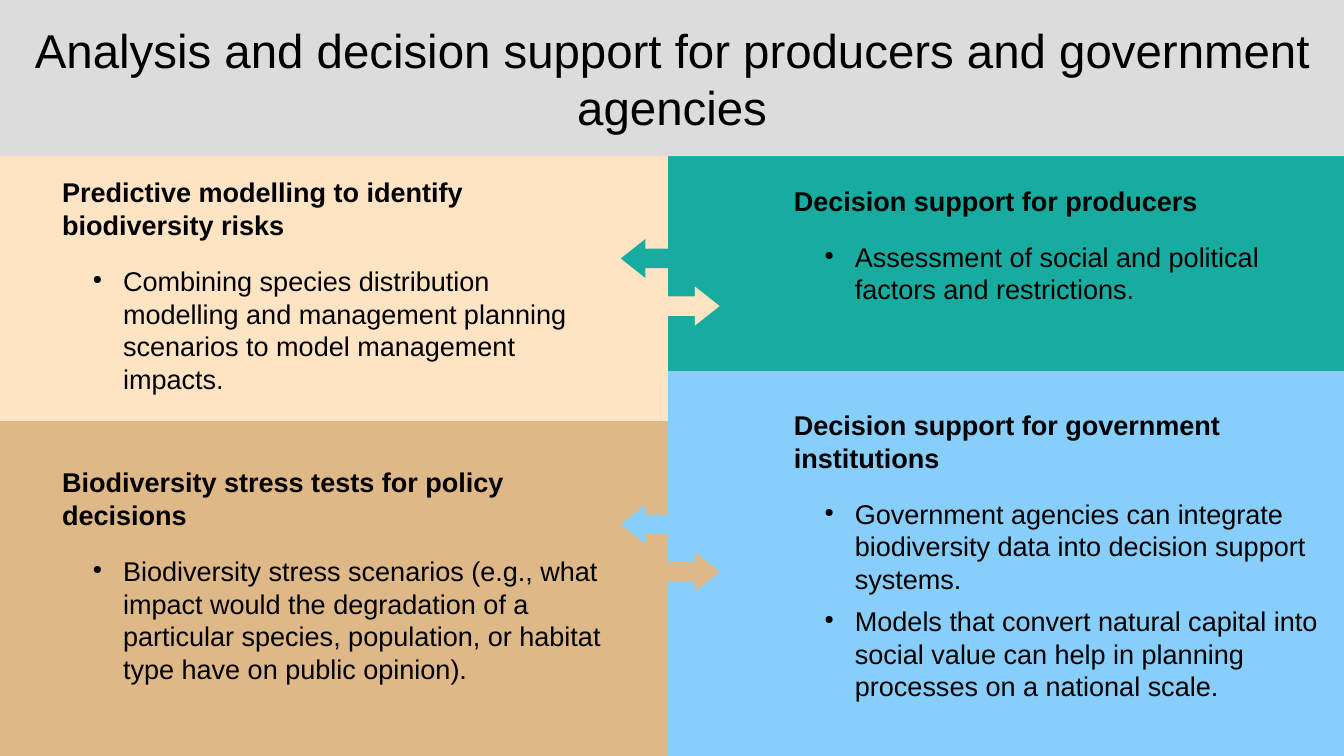
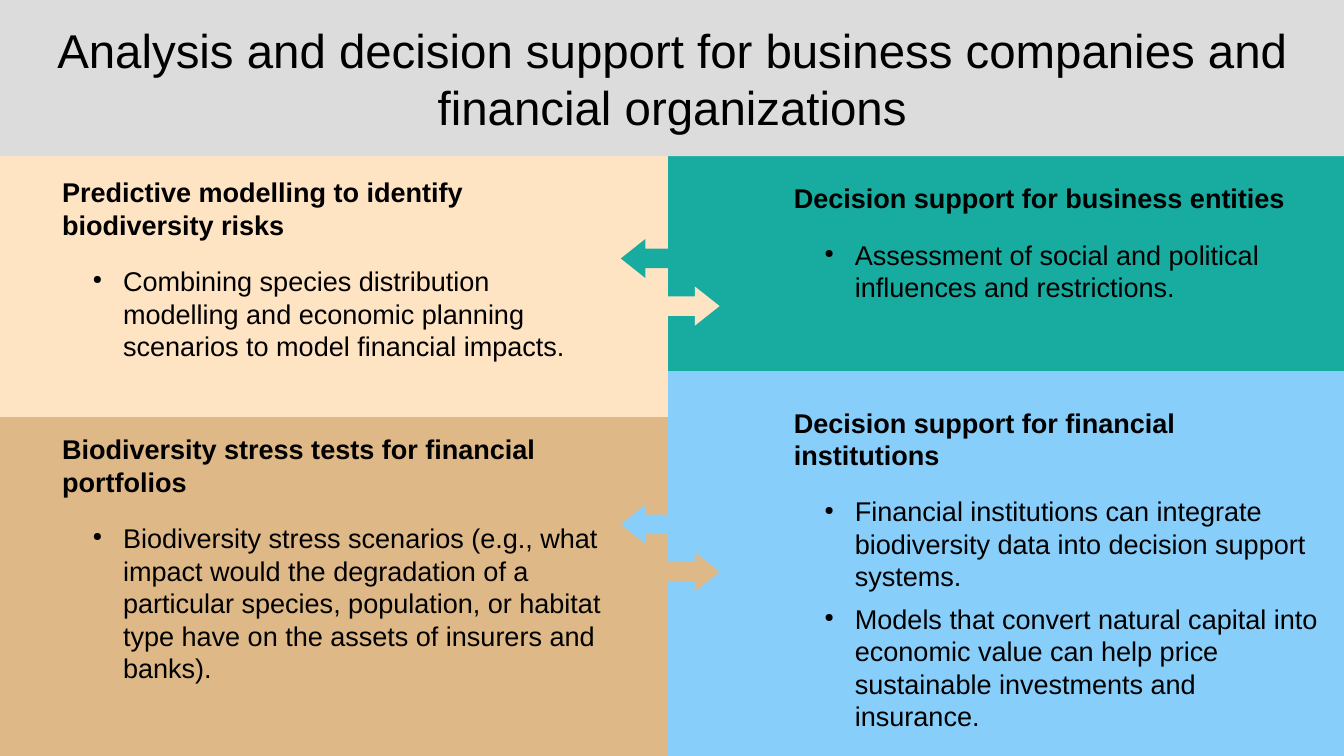
from lxml.etree import SubElement
from pptx import Presentation
from pptx.dml.color import RGBColor
from pptx.enum.shapes import MSO_SHAPE
from pptx.enum.text import MSO_ANCHOR, PP_ALIGN
from pptx.oxml.ns import qn
from pptx.util import Inches, Pt

GREY = RGBColor(0xDC, 0xDC, 0xDC)
BISQUE = RGBColor(0xFF, 0xE4, 0xC4)
TAN = RGBColor(0xDE, 0xB8, 0x87)
TEAL = RGBColor(0x18, 0xAC, 0xA0)
SKY = RGBColor(0x87, 0xCE, 0xFA)
BLACK = RGBColor(0, 0, 0)

FONT = "Arial"
WIDTH, HEIGHT = 11.02, 6.2
BAND = 1.28          # height of the title band
MIDDLE = 5.48        # border between the two columns
RIGHT_SPLIT = 3.04   # border between the right panels
LEFT_TEXT, LEFT_TEXT_WIDTH = 0.51, 4.43
RIGHT_TEXT, RIGHT_TEXT_WIDTH = 6.51, 4.35
ARROW_LEFT, ARROW_WIDTH, ARROW_HEIGHT, ARROW_STEP = 5.09, 0.81, 0.32, 0.39


class Deck:
    def __init__(self):
        self.presentation = Presentation()
        self.presentation.slide_width = Inches(WIDTH)
        self.presentation.slide_height = Inches(HEIGHT)
        self.slide = None

    def new_slide(self):
        blank = self.presentation.slide_layouts[6]
        self.slide = self.presentation.slides.add_slide(blank)

    def block(self, kind, left, top, width, height, color):
        block = self.slide.shapes.add_shape(
            kind, Inches(left), Inches(top), Inches(width), Inches(height))
        block.shadow.inherit = False
        block.fill.solid()
        block.fill.fore_color.rgb = color
        block.line.fill.background()
        return block

    def panel(self, left, top, right, bottom, color):
        self.block(MSO_SHAPE.FLOWCHART_PROCESS, left, top,
                   right - left, bottom - top, color)

    def arrow_pair(self, top, left_color, right_color):
        pair = ((MSO_SHAPE.LEFT_ARROW, left_color),
                (MSO_SHAPE.RIGHT_ARROW, right_color))
        for row, (kind, color) in enumerate(pair):
            arrow = self.block(kind, ARROW_LEFT, top + row * ARROW_STEP,
                               ARROW_WIDTH, ARROW_HEIGHT, color)
            arrow.adjustments[1] = 0.63

    def style(self, paragraph, size, bold=False):
        paragraph.font.name = FONT
        paragraph.font.size = Pt(size)
        paragraph.font.bold = bold
        paragraph.font.color.rgb = BLACK

    def frame(self, shape):
        frame = shape.text_frame
        frame.word_wrap = True
        frame.margin_left = frame.margin_right = 0
        frame.margin_top = frame.margin_bottom = 0
        return frame

    def title(self, text):
        band = self.block(MSO_SHAPE.RECTANGLE, 0, 0, WIDTH, BAND, GREY)
        frame = self.frame(band)
        frame.vertical_anchor = MSO_ANCHOR.MIDDLE
        heading = frame.paragraphs[0]
        heading.text = text
        heading.alignment = PP_ALIGN.CENTER
        self.style(heading, 28)

    def bullet(self, paragraph):
        properties = paragraph._p.get_or_add_pPr()
        properties.set("marL", str(Inches(0.5)))
        properties.set("indent", str(Inches(-0.25)))
        color = SubElement(properties, qn("a:buClr"))
        SubElement(color, qn("a:srgbClr"), val=str(BLACK))
        SubElement(properties, qn("a:buSzPct"), val="45000")
        SubElement(properties, qn("a:buChar"), char="●")

    def topic(self, left, top, width, height, heading, points):
        box = self.slide.shapes.add_textbox(
            Inches(left), Inches(top), Inches(width), Inches(height))
        frame = self.frame(box)
        frame.paragraphs[0].text = heading
        self.style(frame.paragraphs[0], 16, bold=True)
        for number, text in enumerate(points):
            point = frame.add_paragraph()
            point.text = text
            self.bullet(point)
            point.space_before = Pt(5.7 if number else 14.1)
            self.style(point, 16)


def support_slide(deck, title, left_split, left_topics, right_topics):
    deck.new_slide()
    # Panels and title band
    deck.panel(MIDDLE, RIGHT_SPLIT, WIDTH, HEIGHT, SKY)
    deck.panel(MIDDLE, BAND, WIDTH, RIGHT_SPLIT, TEAL)
    deck.panel(0, left_split, MIDDLE, HEIGHT, TAN)
    deck.panel(0, BAND, MIDDLE, left_split, BISQUE)
    deck.title(title)
    # Topics in each column
    columns = ((LEFT_TEXT, LEFT_TEXT_WIDTH, left_split, left_topics),
               (RIGHT_TEXT, RIGHT_TEXT_WIDTH, RIGHT_SPLIT, right_topics))
    for left, width, split, topics in columns:
        for (top, heading, points), bottom in zip(topics, (split, HEIGHT)):
            deck.topic(left, top, width, bottom - top, heading, points)
    # Arrows across the middle
    deck.arrow_pair(1.96, TEAL, BISQUE)
    deck.arrow_pair(4.14, SKY, TAN)


def main():
    deck = Deck()
    support_slide(
        deck,
        "Analysis and decision support for producers and government agencies",
        3.45,
        [(1.44, "Predictive modelling to identify biodiversity risks",
          ["Combining species distribution modelling and management planning "
           "scenarios to model management impacts."]),
         (3.82, "Biodiversity stress tests for policy decisions",
          ["Biodiversity stress scenarios (e.g., what impact would the "
           "degradation of a particular species, population, or habitat type "
           "have on public opinion)."])],
        [(1.51, "Decision support for producers",
          ["Assessment of social and political factors and restrictions."]),
         (3.35, "Decision support for government institutions",
          ["Government agencies can integrate biodiversity data into decision "
           "support systems.",
           "Models that convert natural capital into social value can help in "
           "planning processes on a national scale."])])
    support_slide(
        deck,
        "Analysis and decision support for business companies and financial "
        "organizations",
        3.42,
        [(1.44, "Predictive modelling to identify biodiversity risks",
          ["Combining species distribution modelling and economic planning "
           "scenarios to model financial impacts."]),
         (3.55, "Biodiversity stress tests for financial portfolios",
          ["Biodiversity stress scenarios (e.g., what impact would the "
           "degradation of a particular species, population, or habitat type "
           "have on the assets of insurers and banks)."])],
        [(1.49, "Decision support for business entities",
          ["Assessment of social and political influences and restrictions."]),
         (3.33, "Decision support for financial institutions",
          ["Financial institutions can integrate biodiversity data into "
           "decision support systems.",
           "Models that convert natural capital into economic value can help "
           "price sustainable investments and insurance."])])
    deck.presentation.save("out.pptx")


if __name__ == "__main__":
    main()
